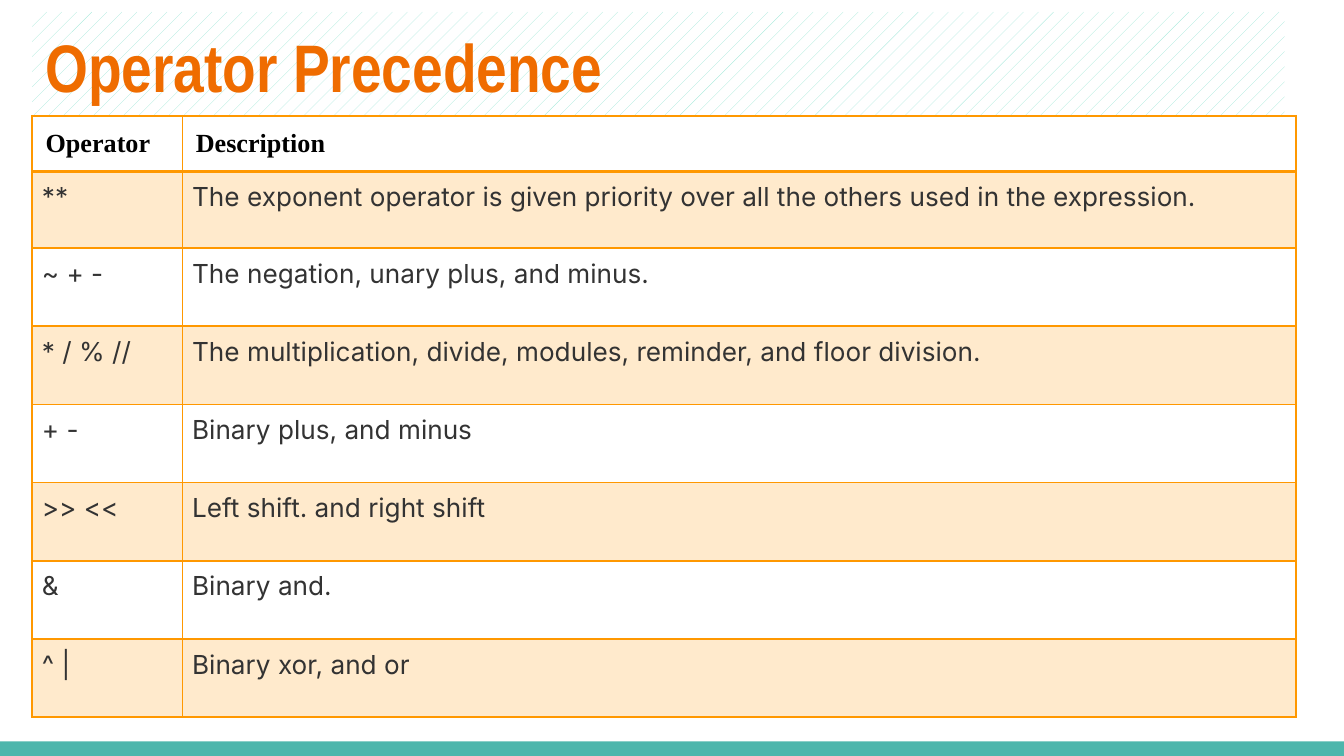
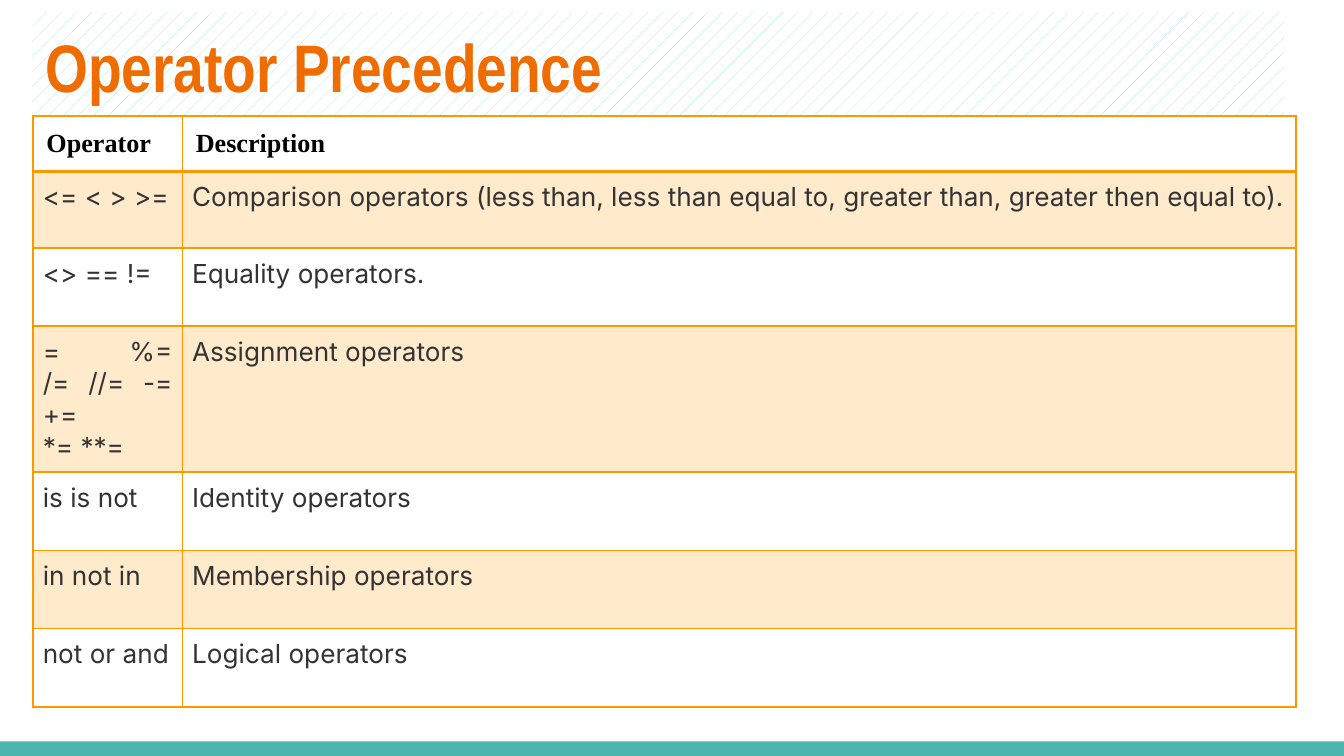
from dataclasses import dataclass

from lxml.etree import SubElement
from pptx import Presentation
from pptx.dml.color import RGBColor
from pptx.enum.dml import MSO_PATTERN as Pattern
from pptx.enum.shapes import MSO_SHAPE as Shape
from pptx.enum.text import MSO_ANCHOR as Anchor, PP_ALIGN as Align
from pptx.oxml import parse_xml
from pptx.oxml.ns import nsdecls, qn
from pptx.util import Pt

ORANGE = "FF9800"
TITLE_ORANGE = "EF6C00"
TEAL = "4DB6AC"
MINT = "A1E8D9"
WHITE = "FFFFFF"
BLACK = "000000"
GRAY = "333333"

PAGE_WIDTH, PAGE_HEIGHT = 720, 405
FOOTER_HEIGHT = 7.8
TABLE_TOP = 62
DIVIDER_X = 97.7
DESCRIPTION_WIDTH = 596.7
HEADER_HEIGHT, FIRST_HEIGHT, ROW_HEIGHT = 29.7, 41, 41.9


@dataclass(frozen=True)
class TextStyle:
    font: str
    size: float
    color: str
    bold: bool
    align: Align
    inset: float


@dataclass(frozen=True)
class OperatorPage:
    title: str
    operator_width: float
    rows: tuple[tuple[str, str], ...]


TITLE = TextStyle("Arial Narrow", 36, TITLE_ORANGE, True, Align.LEFT, 7.2)
HEADER = TextStyle("Times New Roman", 14, BLACK, True, Align.LEFT, 7.2)
BODY = TextStyle("Inter", 14, GRAY, False, Align.JUSTIFY, 5.25)

HEADINGS = ("Operator", "Description")
PAGES = (
    OperatorPage("Operator Precedence", 80.5, (
        ("**", "The exponent operator is given priority over all the others used in the expression."),
        ("~ + -", "The negation, unary plus, and minus."),
        ("* / % //", "The multiplication, divide, modules, reminder, and floor division."),
        ("+ -", "Binary plus, and minus"),
        (">> <<", "Left shift. and right shift"),
        ("&", "Binary and."),
        ("^ |", "Binary xor, and or"),
    )),
    OperatorPage("Operator Precedence", 80, (
        ("<= < > >=", "Comparison operators (less than, less than equal to, greater than, greater then equal to)."),
        ("<> == !=", "Equality operators."),
        ("= %= /= //= -= +=\n*= **=", "Assignment operators"),
        ("is is not", "Identity operators"),
        ("in not in", "Membership operators"),
        ("not or and", "Logical operators"),
    )),
)


def rgb(color: str) -> RGBColor:
    return RGBColor.from_string(color)


def write(frame, text: str, style: TextStyle) -> None:
    frame.word_wrap = True
    para = frame.paragraphs[0]
    para.alignment = style.align
    for index, line in enumerate(text.split("\n")):
        if index:
            para.add_line_break()
        span = para.add_run()
        span.text = line
        span.font.name = style.font
        span.font.size = Pt(style.size)
        span.font.bold = style.bold
        span.font.color.rgb = rgb(style.color)


def set_insets(holder, inset: float) -> None:
    holder.margin_left = holder.margin_right = Pt(inset)
    holder.margin_top = holder.margin_bottom = Pt(inset)


def add_band(page, left: float, top: float, width: float, height: float):
    band = page.shapes.add_shape(Shape.RECTANGLE, Pt(left), Pt(top), Pt(width), Pt(height))
    band.shadow.inherit = False
    band.line.fill.background()
    return band


def add_footer(page) -> None:
    band = add_band(page, 0, PAGE_HEIGHT - FOOTER_HEIGHT, PAGE_WIDTH, FOOTER_HEIGHT)
    band.fill.solid()
    band.fill.fore_color.rgb = rgb(TEAL)


def add_title(page, text: str) -> None:
    band = add_band(page, 17.2, 6.5, 671, 55.5)
    band.fill.patterned()
    band.fill.pattern = Pattern.PERCENT_10
    band.fill.fore_color.rgb = rgb(MINT)
    band.fill.back_color.rgb = rgb(WHITE)
    frame = band.text_frame
    set_insets(frame, TITLE.inset)
    frame.vertical_anchor = Anchor.TOP
    write(frame, text, TITLE)


def add_borders(cell, bottom: float) -> None:
    properties = cell._tc.get_or_add_tcPr()
    widths = {"lnL": 1, "lnR": 1, "lnT": 1, "lnB": bottom}
    for index, (side, width) in enumerate(widths.items()):
        properties.insert(index, parse_xml(
            f'<a:{side} {nsdecls("a")} w="{Pt(width)}"><a:solidFill>'
            f'<a:srgbClr val="{ORANGE}"/></a:solidFill></a:{side}>'))


def fill_cell(cell, tinted: bool) -> None:
    if not tinted:
        cell.fill.background()
        return
    cell.fill.solid()
    cell.fill.fore_color.rgb = rgb(ORANGE)
    color = cell._tc.tcPr.find(qn("a:solidFill")).find(qn("a:srgbClr"))
    SubElement(color, qn("a:alpha")).set("val", "20000")


def add_operators(page, content: OperatorPage) -> None:
    rows = (HEADINGS, *content.rows)
    heights = [HEADER_HEIGHT, FIRST_HEIGHT] + [ROW_HEIGHT] * (len(rows) - 2)
    widths = (content.operator_width, DESCRIPTION_WIDTH)
    table = page.shapes.add_table(
        len(rows), len(widths), Pt(DIVIDER_X - content.operator_width), Pt(TABLE_TOP),
        Pt(sum(widths)), Pt(sum(heights))).table
    table.first_row = table.horz_banding = False
    for column, width in zip(table.columns, widths):
        column.width = Pt(width)
    for row_index, (texts, height) in enumerate(zip(rows, heights)):
        table.rows[row_index].height = Pt(height)
        style = BODY if row_index else HEADER
        for column_index, text in enumerate(texts):
            cell = table.cell(row_index, column_index)
            set_insets(cell, style.inset)
            cell.vertical_anchor = Anchor.TOP
            fill_cell(cell, row_index % 2 == 1)
            add_borders(cell, 1 if row_index else 2)
            write(cell.text_frame, text, style)


def main() -> None:
    deck = Presentation()
    deck.slide_width, deck.slide_height = Pt(PAGE_WIDTH), Pt(PAGE_HEIGHT)
    for content in PAGES:
        page = deck.slides.add_slide(deck.slide_layouts[6])
        add_footer(page)
        add_title(page, content.title)
        add_operators(page, content)
    deck.save("out.pptx")


if __name__ == "__main__":
    main()
